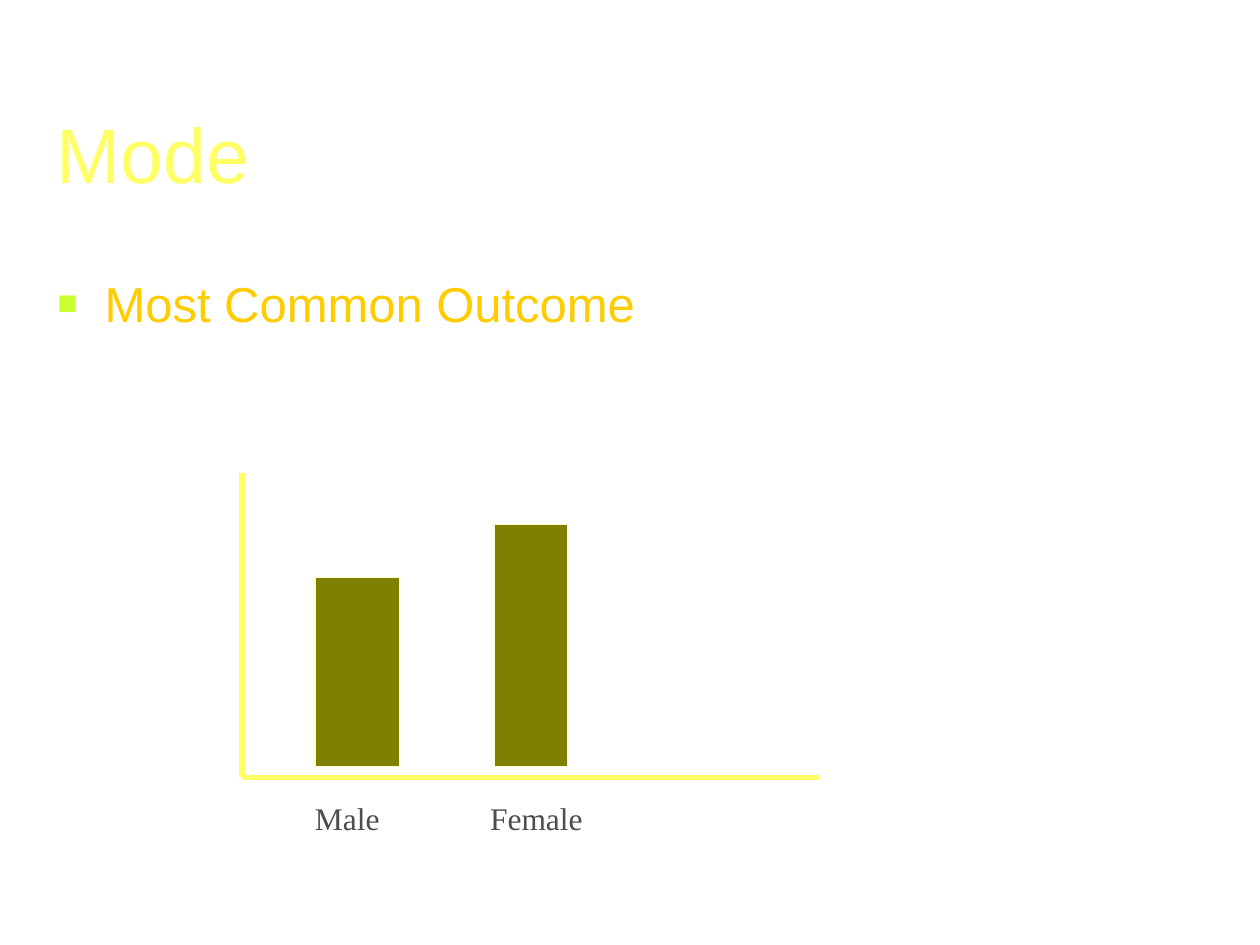
from dataclasses import dataclass

from lxml import etree
from pptx import Presentation
from pptx.dml.color import RGBColor
from pptx.enum.shapes import MSO_CONNECTOR, MSO_SHAPE
from pptx.enum.text import MSO_ANCHOR
from pptx.oxml.ns import qn
from pptx.util import Cm, Pt

STRAIGHT = MSO_CONNECTOR.STRAIGHT
RECTANGLE = MSO_SHAPE.RECTANGLE
TOP = MSO_ANCHOR.TOP
BOTTOM = MSO_ANCHOR.BOTTOM

COLORS = {
    "title": "FFFF66",
    "body": "FFCC00",
    "bullet": "CCFF33",
    "axis": "FFFF66",
    "bar": "808000",
    "bar_outline": "FFFFCC",
    "label": "4D4D4D",
}
AXIS_LEFT, AXIS_RIGHT = 4.88, 16.51
AXIS_TOP, AXIS_BOTTOM = 9.53, 15.67
BAR_BOTTOM = 15.45


@dataclass
class TextBlock:
    text: str
    left: float
    top: float
    width: float
    height: float
    font: str
    size: int
    color: str
    anchor: MSO_ANCHOR = TOP


@dataclass
class Bar:
    left: float
    width: float
    height: float


@dataclass
class Axis:
    end_x: float
    end_y: float


TITLE = TextBlock("Mode", 0.89, 2.01, 24, 2.13, "Arial", 44, "title", BOTTOM)
BODY = TextBlock("Most Common Outcome", 0.91, 5.38, 22.81, 5.51, "Arial", 28, "body")
CATEGORIES = TextBlock("Male\tFemale", 6.1, 15.98, 6.1, 1.02, "Times New Roman", 18, "label")
AXES = [Axis(AXIS_RIGHT, AXIS_BOTTOM), Axis(AXIS_LEFT, AXIS_TOP)]
BARS = [Bar(6.35, 1.7, 3.81), Bar(9.96, 1.48, 4.87)]


def rgb(name: str) -> RGBColor:
    return RGBColor.from_string(COLORS[name])


def add_text(slide, block: TextBlock):
    shape = slide.shapes.add_textbox(
        Cm(block.left), Cm(block.top), Cm(block.width), Cm(block.height)
    )
    frame = shape.text_frame
    frame.word_wrap = True
    frame.vertical_anchor = block.anchor
    paragraph = frame.paragraphs[0]
    paragraph.text = block.text
    paragraph.font.name = block.font
    paragraph.font.size = Pt(block.size)
    paragraph.font.color.rgb = rgb(block.color)
    return paragraph


def set_bullet(paragraph, indent: float) -> None:
    paragraph.space_before = Pt(7)
    properties = paragraph._p.get_or_add_pPr()
    properties.set("marL", str(Cm(indent)))
    properties.set("indent", str(-Cm(indent)))
    bullet = [
        etree.Element(qn(tag)) for tag in ("a:buClr", "a:buSzPct", "a:buFont", "a:buChar")
    ]
    color, size, font, character = bullet
    etree.SubElement(color, qn("a:srgbClr"), val=COLORS["bullet"])
    size.set("val", "70000")
    font.set("typeface", "Arial")
    character.set("char", "■")
    defaults = properties.find(qn("a:defRPr"))
    for element in bullet:
        defaults.addprevious(element)


def set_tab(paragraph, position: float) -> None:
    tabs = etree.Element(qn("a:tabLst"))
    etree.SubElement(tabs, qn("a:tab"), pos=str(Cm(position)), algn="l")
    paragraph._p.get_or_add_pPr().find(qn("a:defRPr")).addprevious(tabs)


def add_axis(slide, axis: Axis) -> None:
    connector = slide.shapes.add_connector(
        STRAIGHT, Cm(AXIS_LEFT), Cm(AXIS_BOTTOM), Cm(axis.end_x), Cm(axis.end_y)
    )
    connector.line.color.rgb = rgb("axis")
    connector.line.width = Pt(3)
    etree.SubElement(connector._element.spPr, qn("a:effectLst"))


def add_bar(slide, bar: Bar) -> None:
    shape = slide.shapes.add_shape(
        RECTANGLE, Cm(bar.left), Cm(BAR_BOTTOM - bar.height), Cm(bar.width), Cm(bar.height)
    )
    shape.shadow.inherit = False
    shape.fill.solid()
    shape.fill.fore_color.rgb = rgb("bar")
    shape.line.color.rgb = rgb("bar_outline")
    shape.line.width = Pt(0.75)


def main() -> None:
    presentation = Presentation()
    presentation.slide_width = Cm(25.4)
    presentation.slide_height = Cm(19.05)
    slide = presentation.slides.add_slide(presentation.slide_layouts[6])
    add_text(slide, TITLE)
    set_bullet(add_text(slide, BODY), 0.95)
    for axis in AXES:
        add_axis(slide, axis)
    for bar in BARS:
        add_bar(slide, bar)
    set_tab(add_text(slide, CATEGORIES), 3.53)
    presentation.save("out.pptx")


if __name__ == "__main__":
    main()
